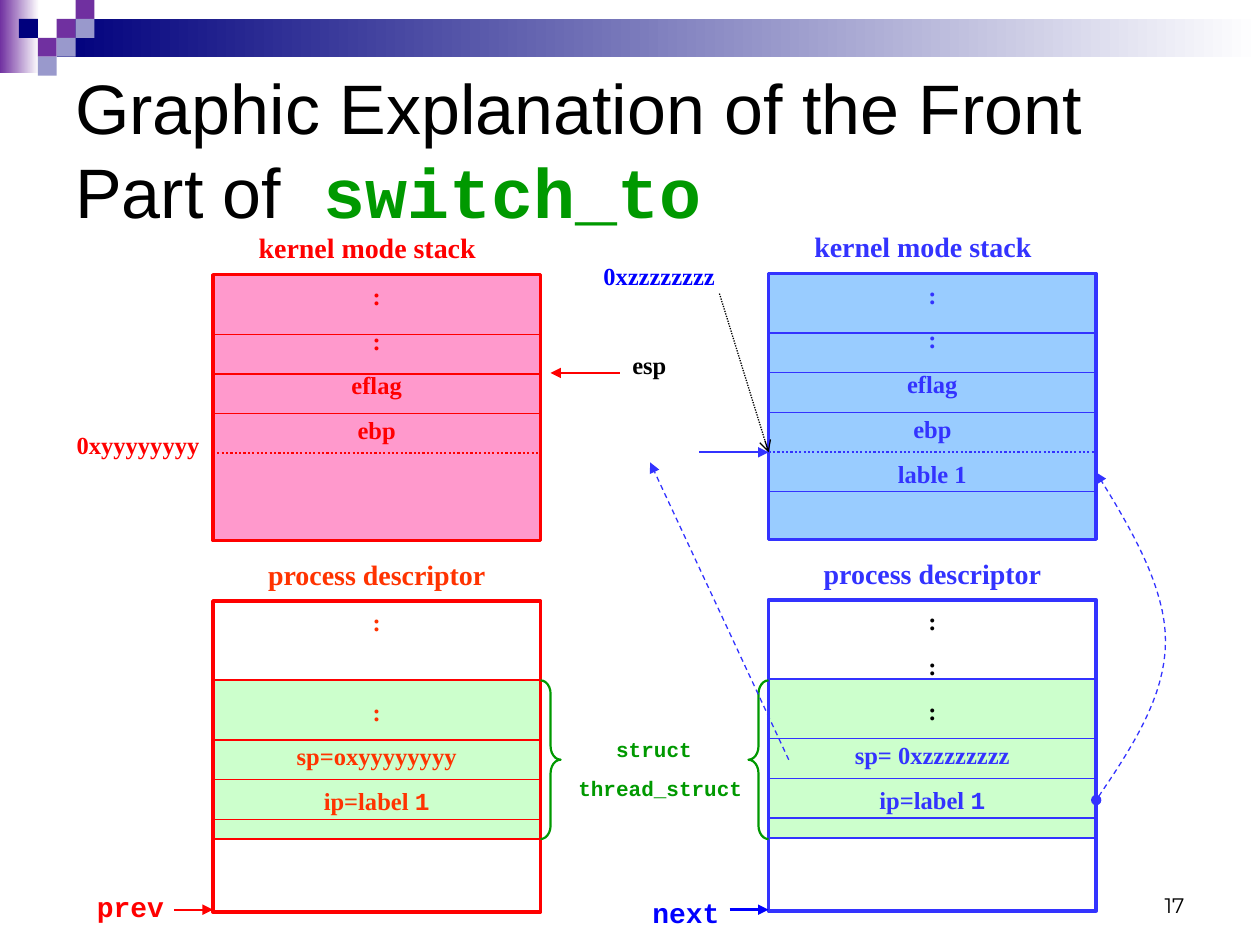
"""Build the slide that explains the front part of switch_to."""
from dataclasses import dataclass
from typing import Optional

from lxml.etree import SubElement
from pptx import Presentation
from pptx.dml.color import RGBColor
from pptx.enum.dml import MSO_LINE as Dash
from pptx.enum.shapes import MSO_CONNECTOR, MSO_SHAPE as Preset
from pptx.enum.text import MSO_ANCHOR as Anchor, PP_ALIGN as Align
from pptx.oxml.ns import qn
from pptx.util import Inches, Pt

BLACK = RGBColor(0x00, 0x00, 0x00)
WHITE = RGBColor(0xFF, 0xFF, 0xFF)
RED = RGBColor(0xFF, 0x00, 0x00)
ORANGE = RGBColor(0xFF, 0x33, 0x00)
PINK = RGBColor(0xFF, 0x99, 0xCC)
BLUE = RGBColor(0x33, 0x33, 0xFF)
PURE_BLUE = RGBColor(0x00, 0x00, 0xFF)
SKY = RGBColor(0x99, 0xCC, 0xFF)
GREEN = RGBColor(0x00, 0x99, 0x00)
MINT = RGBColor(0xCC, 0xFF, 0xCC)
NAVY = RGBColor(0x00, 0x00, 0x7D)
PURPLE = RGBColor(0x70, 0x30, 0xA0)
LAVENDER = RGBColor(0x99, 0x99, 0xCC)

SERIF, MONO, SANS, NUMBER = "Times New Roman", "Courier New", "Arial", "Montserrat"

PREV_LEFT, NEXT_LEFT, BOX_WIDTH = 1.69, 6.1, 2.6
STACK_TOP, DESCRIPTOR_TOP, NEXT_RISE = 2.18, 4.77, 0.01
ROW = 0.315
STACK_ROWS, DESCRIPTOR_ROWS = 6.7, 7.84
THREAD_FIRST, THREAD_LAST = 2, 6
TILE = 0.15
BRACE_WIDTH = 0.16


@dataclass
class Entry:
    """One paragraph, with an optional monospaced ending."""
    text: str
    color: RGBColor
    mono_tail: str = ""
    gap: float = 8.8


def add_block(slide, left, top, width, height, fill=None, line=None, preset=Preset.RECTANGLE, weight=2):
    """Add a preset shape with a plain fill and outline."""
    shape = slide.shapes.add_shape(preset, Inches(left), Inches(top), Inches(width), Inches(height))
    shape.shadow.inherit = False
    if fill is None:
        shape.fill.background()
    else:
        shape.fill.solid()
        shape.fill.fore_color.rgb = fill
    if line is None:
        shape.line.fill.background()
    else:
        shape.line.color.rgb = line
        shape.line.width = Pt(weight)
    return shape


def add_fade(slide, left, top, width, height, color):
    """Add a bar that fades from a colour to white."""
    shape = add_block(slide, left, top, width, height, color)
    shape.fill.gradient()
    shape.fill.gradient_angle = 0
    for stop, stop_color in zip(shape.fill.gradient_stops, (color, WHITE)):
        stop.color.rgb = stop_color


def style_font(font, size, name, color, bold=True):
    """Set the size, face, colour and weight of a font."""
    font.size, font.name, font.bold = Pt(size), name, bold
    font.color.rgb = color


def add_label(slide, left, top, width, height, lines, size, name, color,
              align=Align.LEFT, anchor=Anchor.TOP, bold=True, gap=0):
    """Add a text box with one paragraph per line."""
    box = slide.shapes.add_textbox(Inches(left), Inches(top), Inches(width), Inches(height))
    frame = box.text_frame
    frame.word_wrap, frame.vertical_anchor = False, anchor
    for index, line in enumerate(lines):
        paragraph = frame.paragraphs[0] if index == 0 else frame.add_paragraph()
        paragraph.text, paragraph.alignment = line, align
        paragraph.space_before = Pt(gap if index else 0)
        style_font(paragraph.font, size, name, color, bold)
    return box


def fill_entries(shape, entries):
    """Write centred entries from the top of a box."""
    frame = shape.text_frame
    frame.word_wrap, frame.vertical_anchor = True, Anchor.TOP
    for index, entry in enumerate(entries):
        paragraph = frame.paragraphs[0] if index == 0 else frame.add_paragraph()
        paragraph.alignment = Align.CENTER
        paragraph.space_before = Pt(entry.gap if index else 0)
        style_font(paragraph.font, 14, SERIF, entry.color)
        paragraph.add_run().text = entry.text
        if entry.mono_tail:
            tail = paragraph.add_run()
            tail.text, tail.font.name = entry.mono_tail, MONO


def style_line(shape, color, weight, dash: Optional[Dash] = None, head=None, tail=None):
    """Style a stroke, with optional ends."""
    shape.line.color.rgb, shape.line.width = color, Pt(weight)
    if dash is not None:
        shape.line.dash_style = dash
    for tag, kind in (("a:headEnd", head), ("a:tailEnd", tail)):
        if kind:
            SubElement(shape.line._get_or_add_ln(), qn(tag), type=kind)


def add_line(slide, start, end, color, weight=0.75, dash=None, tail=None):
    """Add a straight connector between two points."""
    points = [Inches(value) for value in (*start, *end)]
    connector = slide.shapes.add_connector(MSO_CONNECTOR.STRAIGHT, *points)
    style_line(connector, color, weight, dash, tail=tail)
    SubElement(connector._element.spPr, qn("a:effectLst"))


def bezier_points(start, control_1, control_2, end, steps=16):
    """Return points along a cubic curve, after its start."""
    shares = [step / steps for step in range(1, steps + 1)]
    return [tuple((1 - t) ** 3 * a + 3 * t * (1 - t) ** 2 * b + 3 * t * t * (1 - t) * c + t ** 3 * d
                  for a, b, c, d in zip(start, control_1, control_2, end)) for t in shares]


def add_return_curve(slide):
    """Add the curve from the saved ip to its label on the stack."""
    start, middle, end = (8.7, 6.35), (9.25, 5.09), (8.7, 3.75)
    points = [start, *bezier_points(start, (8.98, 5.94), (9.25, 5.53), middle),
              *bezier_points(middle, (9.25, 4.66), (8.98, 4.2), end)]
    first, *rest = [(Inches(x), Inches(y)) for x, y in points]
    builder = slide.shapes.build_freeform(*first, scale=1.0)
    builder.add_line_segments(rest, close=False)
    curve = builder.convert_to_shape()
    curve.shadow.inherit = False
    curve.fill.background()
    style_line(curve, BLUE, 0.75, Dash.DASH, head="oval", tail="triangle")


def add_dividers(slide, left, top, rows, color, weight=0.75, dash=None):
    """Add lines across a box at the given rows."""
    for row in rows:
        y = top + row * ROW
        add_line(slide, (left, y), (left + BOX_WIDTH, y), color, weight, dash)


def add_stack(slide, left, top, fill, color, entries, rows):
    """Add a kernel mode stack with its heading."""
    box = add_block(slide, left, top, BOX_WIDTH, STACK_ROWS * ROW, fill, color)
    fill_entries(box, entries)
    add_dividers(slide, left, top, rows, color)
    add_dividers(slide, left, top, [4.5], color, 1.25, Dash.ROUND_DOT)
    add_label(slide, left + 0.16, top - 0.4, 2.13, 0.37, ["kernel mode stack"], 16, SERIF, color, Align.CENTER)


def add_descriptor(slide, left, top, color, heading_color, entries):
    """Add a process descriptor with its thread_struct part."""
    thread_height = (THREAD_LAST - THREAD_FIRST) * ROW
    add_block(slide, left, top + THREAD_FIRST * ROW, BOX_WIDTH, thread_height, MINT)
    box = add_block(slide, left, top, BOX_WIDTH, DESCRIPTOR_ROWS * ROW, None, color)
    fill_entries(box, entries)
    add_dividers(slide, left, top, [THREAD_FIRST, THREAD_LAST], color, 1.25)
    add_dividers(slide, left, top, [3.5, 4.5, 5.5], color)
    add_label(slide, left + 0.24, top - 0.39, 2.12, 0.37, ["process descriptor"], 16, SERIF,
              heading_color, Align.CENTER)


def add_braces(slide):
    """Add the braces that mark thread_struct, and their label."""
    top, height = DESCRIPTOR_TOP + THREAD_FIRST * ROW, (THREAD_LAST - THREAD_FIRST) * ROW
    for left, preset in ((PREV_LEFT + BOX_WIDTH, Preset.RIGHT_BRACE), (NEXT_LEFT - BRACE_WIDTH, Preset.LEFT_BRACE)):
        brace = add_block(slide, left, top, BRACE_WIDTH, height, None, GREEN, preset, 1.25)
        brace.adjustments[0] = 0.67
    add_label(slide, 4.45, 5.8, 1.58, 0.61, ["struct ", "thread_struct"], 12, MONO, GREEN, Align.CENTER, gap=7.5)


def add_header(slide):
    """Add the bars, the tiles, the title and the slide number."""
    add_fade(slide, 0, 0, 0.31, 0.58, PURPLE)
    add_fade(slide, 0.45, TILE, 9.55, 2 * TILE, NAVY)
    for column, row, color in ((3, 1, PURPLE), (4, 0, PURPLE), (4, 1, LAVENDER), (2, 2, PURPLE),
                               (1, 1, NAVY), (3, 2, LAVENDER), (2, 3, LAVENDER)):
        add_block(slide, column * TILE, row * TILE, TILE, TILE, color)
    title = add_label(slide, 0.5, 0.5, 9, 1.36, ["Graphic Explanation of the Front Part of"], 40, SANS, BLACK,
                      anchor=Anchor.MIDDLE, bold=False)
    title.text_frame.word_wrap = True
    name = title.text_frame.paragraphs[0].add_run()
    name.text = " switch_to"
    style_font(name.font, 40, MONO, GREEN)
    add_label(slide, 7.17, 6.83, 2.33, 0.5, ["17"], 12, NUMBER, BLACK, Align.RIGHT, Anchor.BOTTOM, False)


def add_pointers(slide):
    """Add the registers, the addresses and their arrows."""
    for left, top, width, text, size, name, color in (
            (4.92, 2.73, 0.55, "esp", 14, SERIF, BLACK), (0.51, 3.36, 1.18, "0xyyyyyyyy", 14, SERIF, RED),
            (4.69, 2.02, 1.1, "0xzzzzzzzz", 14, SERIF, PURE_BLUE),
            (0.67, 7.01, 0.79, "prev", 16, MONO, RED), (5.08, 7.06, 0.79, "next", 16, MONO, PURE_BLUE)):
        add_label(slide, left, top, width, 0.35, [text], size, name, color)
    for start, end, color, weight, dash, tail in (
            ((4.92, 2.96), (4.37, 2.96), RED, 1, None, "triangle"),
            ((1.38, 7.22), (PREV_LEFT, 7.22), RED, 1.25, None, "triangle"),
            ((5.79, 7.22), (NEXT_LEFT, 7.22), PURE_BLUE, 1.5, None, "triangle"),
            ((5.55, 3.59), (NEXT_LEFT, 3.59), BLUE, 1.25, None, "triangle"),
            ((6.26, 6.03), (5.16, 3.67), BLUE, 0.75, Dash.DASH, "triangle"),
            ((5.71, 2.33), (NEXT_LEFT, 3.59), BLACK, 0.75, Dash.ROUND_DOT, "arrow")):
        add_line(slide, start, end, color, weight, dash, tail)


def main():
    """Build and save the slide."""
    presentation = Presentation()
    presentation.slide_width, presentation.slide_height = Inches(10), Inches(7.5)
    slide = presentation.slides.add_slide(presentation.slide_layouts[6])
    add_header(slide)
    saved = [":", ":", "eflag", "ebp"]
    add_stack(slide, PREV_LEFT, STACK_TOP, PINK, RED, [Entry(text, RED) for text in saved], [1.5, 2.5, 3.5])
    add_stack(slide, NEXT_LEFT, STACK_TOP - NEXT_RISE, SKY, BLUE,
              [Entry(text, BLUE) for text in saved + ["lable 1"]], [1.5, 2.5, 3.5, 5.5])
    add_descriptor(slide, PREV_LEFT, DESCRIPTOR_TOP, RED, ORANGE, [
        Entry(":", ORANGE), Entry(":", ORANGE, gap=34.2),
        Entry("sp=oxyyyyyyyy", ORANGE), Entry("ip=label ", ORANGE, "1")])
    add_descriptor(slide, NEXT_LEFT, DESCRIPTOR_TOP - NEXT_RISE, BLUE, BLUE, [
        *[Entry(":", BLACK)] * 3, Entry("sp= 0xzzzzzzzz", BLUE), Entry("ip=label ", BLUE, "1")])
    add_braces(slide)
    add_pointers(slide)
    add_return_curve(slide)
    presentation.save("out.pptx")


if __name__ == "__main__":
    main()
